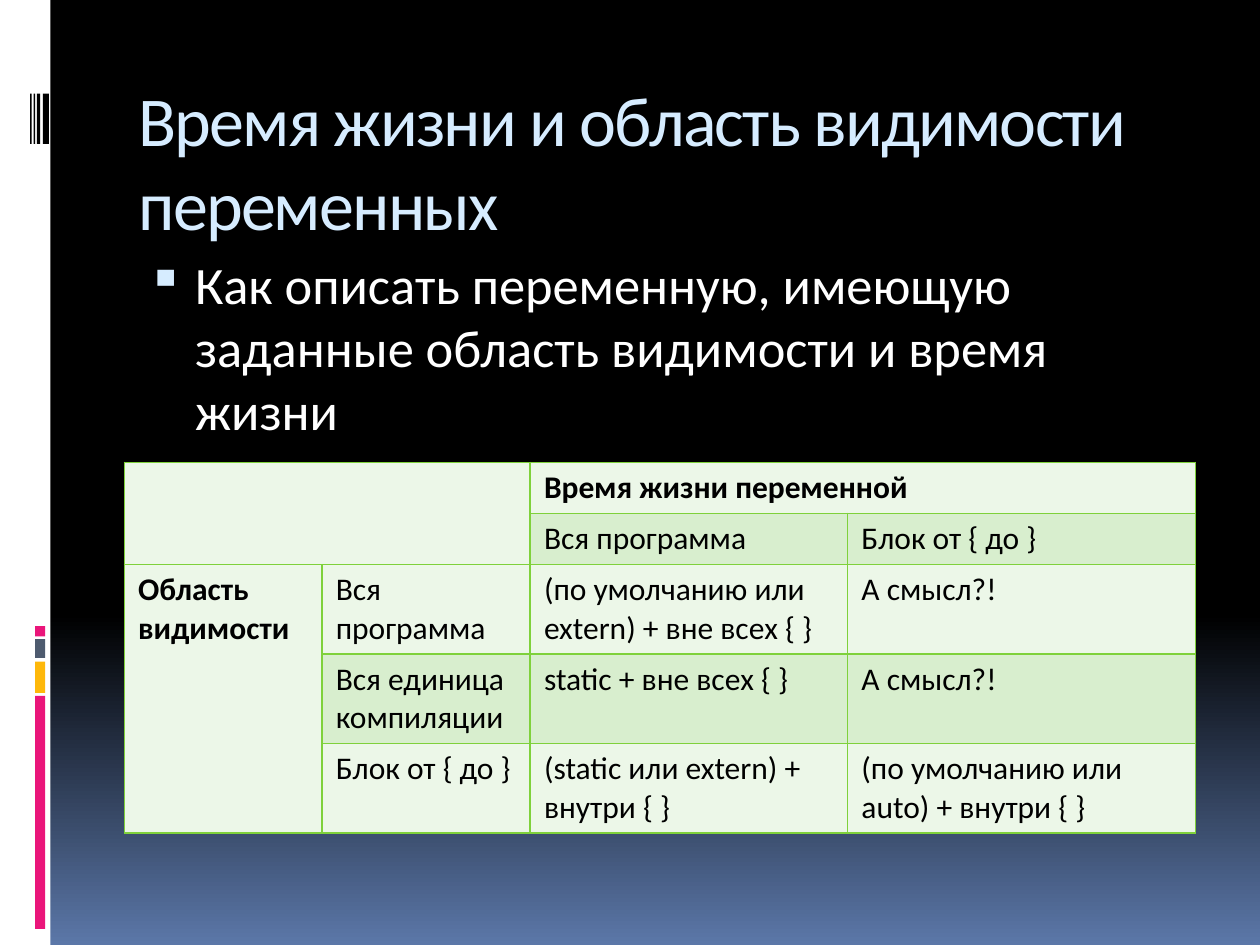
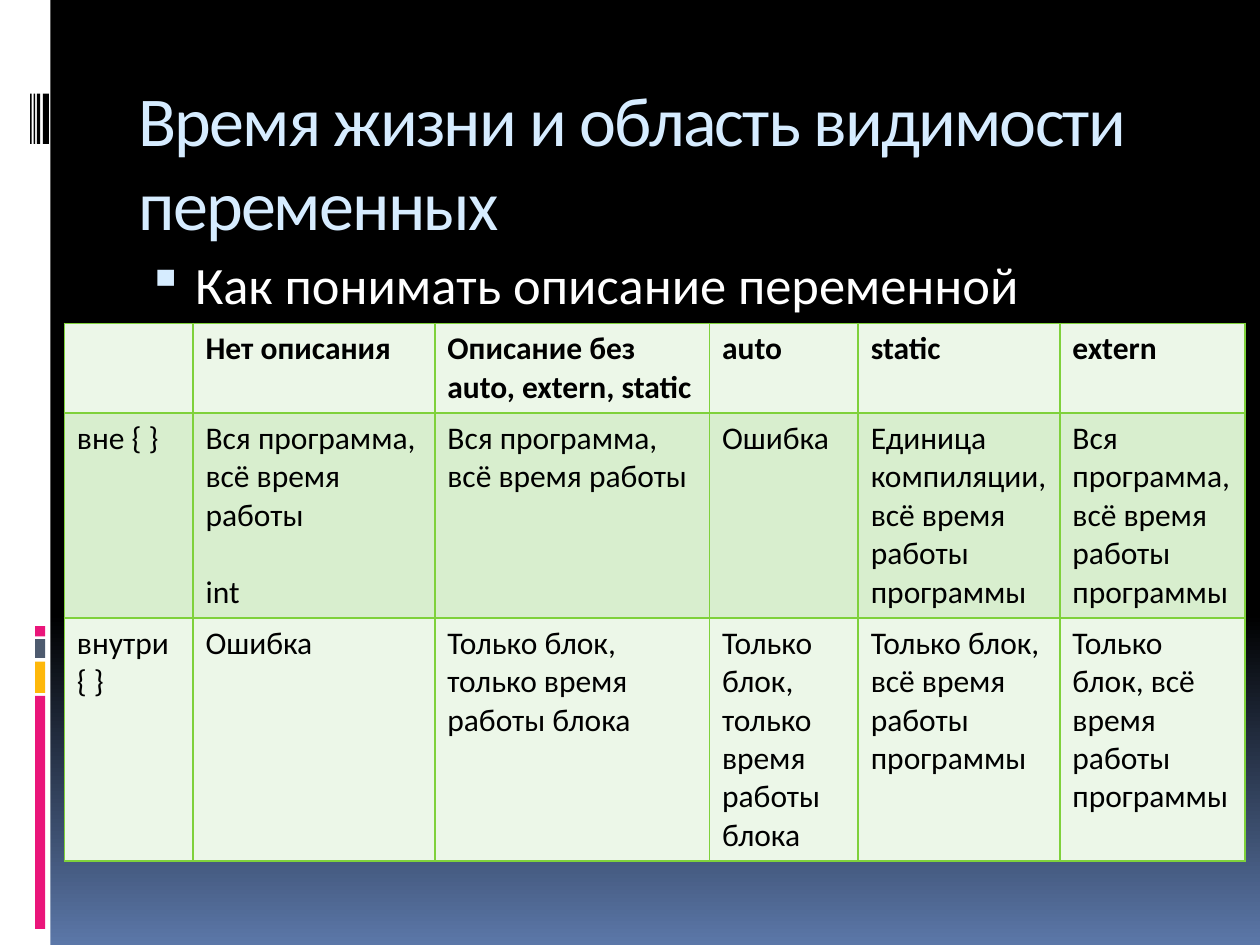
from lxml import etree
from copy import deepcopy

from pptx import Presentation
from pptx.dml.color import RGBColor
from pptx.enum.shapes import MSO_SHAPE
from pptx.enum.text import MSO_ANCHOR, MSO_AUTO_SIZE, PP_ALIGN
from pptx.oxml.ns import qn
from pptx.util import Pt

RECTANGLE = MSO_SHAPE.RECTANGLE
TOP = MSO_ANCHOR.TOP
LEFT = PP_ALIGN.LEFT
NO_AUTOFIT = MSO_AUTO_SIZE.NONE

TITLE_ONLY = 5
SLIDE_WIDTH, SLIDE_HEIGHT = 720, 540
FONT = "Calibri"
BLACK, WHITE, NIGHT_BLUE = "000000", "FFFFFF", "5B77A8"
PALE_BLUE, PINK, AMBER, SLATE = "D6ECFF", "EA157A", "FEB80A", "4E5B6F"
BORDER_GREEN = "7FD13B"
ROW_FILLS = ["ECF7E8", "D8EECE"]

# Side marks: (top, height, colour) and (left, width)
SIDE_BLOCKS = [(397.6, 133.2, PINK), (378, 18, AMBER), (365.2, 10.8, SLATE), (357.8, 5.8, PINK)]
BARCODE_BARS = [(24.5, 3.5), (21, 2), (19.3, 0.8), (17.3, 0.8)]


def color(hex_string):
    return RGBColor.from_string(hex_string)


def add_element(parent, tag, **attributes):
    return etree.SubElement(parent, qn(tag), attributes)


class Deck:
    def __init__(self):
        self.presentation = Presentation()
        self.presentation.slide_width = Pt(SLIDE_WIDTH)
        self.presentation.slide_height = Pt(SLIDE_HEIGHT)
        self.slide = None
        self.set_background()

    def set_background(self):
        """Black for the top two thirds, fading to blue at the bottom."""
        master = self.presentation.slide_master
        fill = master.background.fill
        fill.gradient()
        fill.gradient_angle = 270
        for stop, position, shade in zip(fill.gradient_stops, (0, 1), (BLACK, NIGHT_BLUE)):
            stop.position = position
            stop.color.rgb = color(shade)
        first_stop = master.element.find(".//" + qn("a:gs"))
        middle_stop = deepcopy(first_stop)
        middle_stop.set("pos", "65000")
        first_stop.addnext(middle_stop)

    def new_slide(self, title):
        layout = self.presentation.slide_layouts[TITLE_ONLY]
        self.slide = self.presentation.slides.add_slide(layout)
        self.side_marks()
        self.title(title)

    def rectangle(self, left, top, width, height, fill):
        shape = self.slide.shapes.add_shape(RECTANGLE, Pt(left), Pt(top), Pt(width), Pt(height))
        shape.shadow.inherit = False
        shape.fill.solid()
        shape.fill.fore_color.rgb = color(fill)
        shape.line.fill.background()

    def side_marks(self):
        self.rectangle(0, 0, 28.8, SLIDE_HEIGHT, WHITE)
        for top, height, fill in SIDE_BLOCKS:
            self.rectangle(20, top, 5.8, height, fill)
        for left, width in BARCODE_BARS:
            self.rectangle(left, 53.5, width, 28.8, BLACK)

    def styled_run(self, paragraph, text, size, shade, bold=False):
        run = paragraph.add_run()
        run.text = text
        run.font.color.rgb = color(shade)
        style = {"name": FONT, "size": Pt(size), "bold": bold}
        for name, value in style.items():
            setattr(run.font, name, value)
        return run

    def frame(self, shape):
        layout = {"word_wrap": True, "auto_size": NO_AUTOFIT, "vertical_anchor": TOP}
        for name, value in layout.items():
            setattr(shape.text_frame, name, value)
        paragraph = shape.text_frame.paragraphs[0]
        paragraph.alignment = LEFT
        return paragraph

    def title(self, text):
        shape = self.slide.shapes.title
        place = {"left": 72, "top": 40.3, "width": 612, "height": 72}
        for name, value in place.items():
            setattr(shape, name, Pt(value))
        run = self.styled_run(self.frame(shape), text, 40, PALE_BLUE)
        run._r.get_or_add_rPr().set("spc", "-100")

    def bullet(self, text):
        shape = self.slide.shapes.add_textbox(Pt(72), Pt(140.4), Pt(612), Pt(360))
        paragraph = self.frame(shape)
        properties = paragraph._p.get_or_add_pPr()
        properties.set("marL", str(Pt(32.4)))
        properties.set("indent", str(Pt(-27.4)))
        bullet_color = add_element(properties, "a:buClr")
        add_element(bullet_color, "a:srgbClr", val=PALE_BLUE)
        add_element(properties, "a:buSzPct", val="95000")
        add_element(properties, "a:buChar", char="▪")
        self.styled_run(paragraph, text, 30, WHITE)

    def borders(self, cell):
        properties = cell._tc.get_or_add_tcPr()
        for index, side in enumerate(("a:lnL", "a:lnR", "a:lnT", "a:lnB")):
            line = etree.Element(qn(side), w=str(Pt(1)))
            fill = add_element(line, "a:solidFill")
            add_element(fill, "a:srgbClr", val=BORDER_GREEN)
            properties.insert(index, line)

    def table(self, left, top, widths, heights, rows, bold_cells, merges=(), margin=7.2):
        frame = self.slide.shapes.add_table(
            len(rows), len(widths), Pt(left), Pt(top), Pt(sum(widths)), Pt(sum(heights)))
        table = frame.table
        table.first_row = table.horz_banding = False
        for column, width in zip(table.columns, widths):
            column.width = Pt(width)
        for row, height in zip(table.rows, heights):
            row.height = Pt(height)
        for start, end in merges:
            table.cell(*start).merge(table.cell(*end))
        for row_index, row in enumerate(rows):
            for column_index, text in enumerate(row):
                cell = table.cell(row_index, column_index)
                cell.fill.solid()
                cell.fill.fore_color.rgb = color(ROW_FILLS[row_index % 2])
                cell.margin_left = cell.margin_right = Pt(margin)
                self.borders(cell)
                self.cell_text(cell, text, (row_index, column_index) in bold_cells)

    def cell_text(self, cell, text, bold):
        if not text:
            return
        for index, line in enumerate(text.split("\n")):
            if index:
                paragraph = cell.text_frame.add_paragraph()
                paragraph.space_before = Pt(22)
            else:
                paragraph = cell.text_frame.paragraphs[0]
            self.styled_run(paragraph, line, 18, BLACK, bold)


def main():
    deck = Deck()
    title = "Время жизни и область видимости переменных"
    whole_run = "Вся программа, всё время работы"
    block_only = "Только блок, только время работы блока"
    block_whole_run = "Только блок, всё время работы программы"

    # How to declare a variable
    deck.new_slide(title)
    deck.bullet("Как описать переменную, имеющую заданные область видимости и время жизни")
    deck.table(
        71, 264.2, [113, 119, 181.4, 198.7], [29.2] * 2 + [51.1] * 3,
        [
            ["", "", "Время жизни переменной", ""],
            ["", "", "Вся программа", "Блок от { до }"],
            ["Область видимости", "Вся программа",
             "(по умолчанию или extern) + вне всех { }", "А смысл?!"],
            ["", "Вся единица компиляции", "static + вне всех { }", "А смысл?!"],
            ["", "Блок от { до }", "(static или extern) + внутри { }",
             "(по умолчанию или auto) + внутри { }"],
        ],
        bold_cells={(0, 2), (2, 0)},
        merges=[((0, 0), (1, 1)), ((0, 2), (0, 3)), ((2, 0), (4, 0))],
        margin=7.9)

    # How to read a declaration
    deck.new_slide(title)
    deck.bullet("Как понимать описание переменной")
    deck.table(
        36.8, 184.8, [73.5, 138.2, 157, 85, 115.2, 105.8], [51.1, 117, 139],
        [
            ["", "Нет описания", "Описание без auto, extern, static", "auto", "static", "extern"],
            ["вне { }", whole_run + "\nint", whole_run, "Ошибка",
             "Единица компиляции, всё время работы программы", whole_run + " программы"],
            ["внутри { }", "Ошибка", block_only, block_only, block_whole_run, block_whole_run],
        ],
        bold_cells={(0, column) for column in range(6)})

    deck.presentation.save("out.pptx")


if __name__ == "__main__":
    main()
